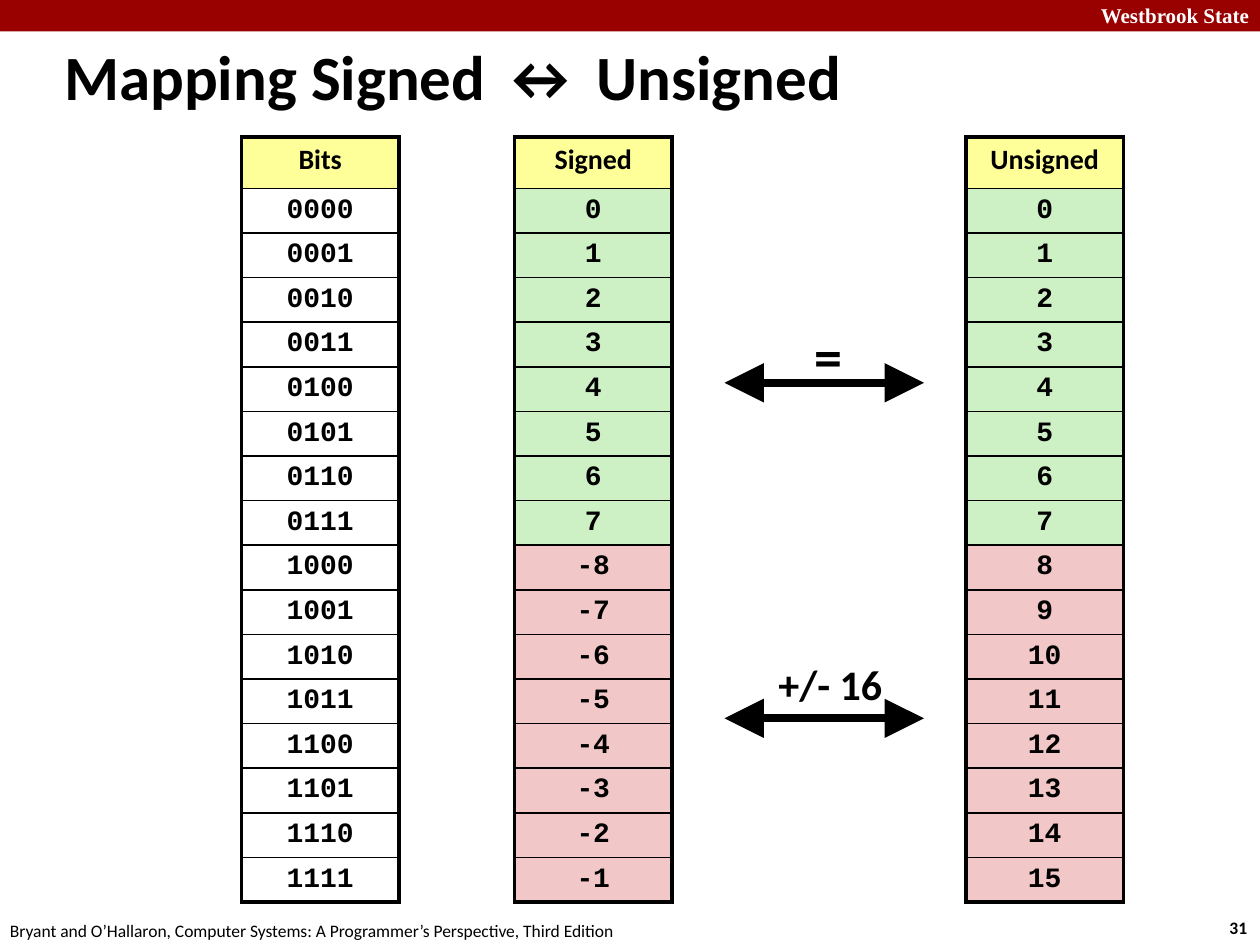
"""Build the slide that maps signed to unsigned four-bit values."""
from lxml.etree import SubElement
from pptx import Presentation
from pptx.dml.color import RGBColor
from pptx.enum.shapes import MSO_CONNECTOR, MSO_SHAPE
from pptx.enum.text import MSO_ANCHOR, MSO_AUTO_SIZE, PP_ALIGN
from pptx.oxml.ns import qn
from pptx.util import Pt

BLACK = RGBColor(0x00, 0x00, 0x00)
WHITE = RGBColor(0xFF, 0xFF, 0xFF)
CRIMSON = RGBColor(0x99, 0x00, 0x00)
YELLOW = RGBColor(0xFF, 0xFF, 0x99)
GREEN = RGBColor(0xCD, 0xF1, 0xC5)
PINK = RGBColor(0xF1, 0xC7, 0xC7)

BITS = 4
COUNT = 2 ** BITS
HALF = COUNT // 2


class SlideBuilder:
    """Hold the style and the current slide."""

    sans, mono, serif = "Calibri", "Courier New", "Times New Roman"
    thin, thick = 1, 2.25
    table_top, column_width = 78.2, 90
    header_height, row_height = 29.5, 25.5

    def __init__(self, slide):
        self.slide = slide

    def run(self, paragraph, text, size, font=None, color=BLACK, bold=True):
        run = paragraph.add_run()
        run.text = text
        run.font.size = Pt(size)
        run.font.name = font or self.sans
        run.font.color.rgb = color
        run.font.bold = bold

    def inset(self, owner, side, end):
        owner.margin_left = owner.margin_right = Pt(side)
        owner.margin_top = owner.margin_bottom = Pt(end)

    def place(self, shape, left, top, width, height):
        shape.left, shape.top = Pt(left), Pt(top)
        shape.width, shape.height = Pt(width), Pt(height)

    def title(self, text):
        heading = self.slide.shapes.title
        self.place(heading, 31.7, 21, 537, 44)
        frame = heading.text_frame
        frame.word_wrap = False
        frame.auto_size = MSO_AUTO_SIZE.NONE
        frame.vertical_anchor = MSO_ANCHOR.MIDDLE
        self.inset(frame, 5, 2.2)
        paragraph = frame.paragraphs[0]
        paragraph.alignment = PP_ALIGN.LEFT
        self.run(paragraph, text, 36)

    def band(self, left, top, width, height, color):
        band = self.slide.shapes.add_shape(
            MSO_SHAPE.RECTANGLE, Pt(left), Pt(top), Pt(width), Pt(height))
        band.shadow.inherit = False
        band.fill.solid()
        band.fill.fore_color.rgb = color
        band.line.fill.background()

    def text(self, box, text, size, align=PP_ALIGN.LEFT,
             anchor=MSO_ANCHOR.TOP, side=7.2, **style):
        frame = self.slide.shapes.add_textbox(*map(Pt, box)).text_frame
        frame.word_wrap = False
        frame.vertical_anchor = anchor
        self.inset(frame, side, 3.6)
        paragraph = frame.paragraphs[0]
        paragraph.alignment = align
        self.run(paragraph, text, size, **style)

    def borders(self, cell, top, bottom):
        properties = cell._tc.get_or_add_tcPr()
        sides = {"lnL": self.thick, "lnR": self.thick, "lnT": top, "lnB": bottom}
        for index, (side, width) in enumerate(sides.items()):
            line = SubElement(properties, qn(f"a:{side}"), w=str(Pt(width)))
            ink = SubElement(line, qn("a:solidFill"))
            SubElement(ink, qn("a:srgbClr"), val=str(BLACK))
            properties.insert(index, line)

    def column(self, left, header, values, fills):
        entries = [(header, YELLOW, self.sans)]
        entries += [(value, fill, self.mono) for value, fill in zip(values, fills)]
        height = self.header_height + self.row_height * len(values)
        table = self.slide.shapes.add_table(
            len(entries), 1, Pt(left), Pt(self.table_top),
            Pt(self.column_width), Pt(height)).table
        table.first_row = table.horz_banding = False
        last = len(entries) - 1
        for index, (value, fill, font) in enumerate(entries):
            table.rows[index].height = Pt(self.row_height if index else self.header_height)
            cell = table.cell(index, 0)
            self.inset(cell, 3.6, 3.6)
            cell.fill.solid()
            cell.fill.fore_color.rgb = fill
            self.borders(cell, self.thin if index else self.thick,
                         self.thick if index == last else self.thin)
            paragraph = cell.text_frame.paragraphs[0]
            paragraph.alignment = PP_ALIGN.CENTER
            paragraph.line_spacing = 0.95
            self.run(paragraph, value, 16, font)

    def double_arrow(self, left, right, y):
        arrow = self.slide.shapes.add_connector(
            MSO_CONNECTOR.STRAIGHT, Pt(right), Pt(y), Pt(left), Pt(y))
        arrow.line.color.rgb = BLACK
        arrow.line.width = Pt(4.5)
        line = arrow.line._get_or_add_ln()
        for end in ("headEnd", "tailEnd"):
            SubElement(line, qn(f"a:{end}"), type="triangle", w="lg", len="lg")
        SubElement(arrow._element.spPr, qn("a:effectLst"))


def main():
    deck = Presentation()
    deck.slide_width, deck.slide_height = Pt(720), Pt(540)
    builder = SlideBuilder(deck.slides.add_slide(deck.slide_layouts[5]))

    builder.band(0, 0, 720, 18, CRIMSON)
    builder.text((622, -2.2, 103, 21.6), "Westbrook State", 12,
                 font=builder.serif, color=WHITE)
    builder.text((695.5, 520.6, 26.6, 19.4), "31", 10)
    builder.text((-1.4, 522, 365.8, 19.4),
                 "Bryant and O’Hallaron, Computer Systems: "
                 "A Programmer’s Perspective, Third Edition", 10, bold=False)
    builder.title("Mapping Signed ↔ Unsigned")

    patterns = [f"{number:0{BITS}b}" for number in range(COUNT)]
    unsigned = [str(number) for number in range(COUNT)]
    signed = [str(number if number < HALF else number - COUNT)
              for number in range(COUNT)]
    halves = [GREEN] * HALF + [PINK] * HALF
    builder.column(294, "Signed", signed, halves)
    builder.column(552, "Unsigned", unsigned, halves)
    builder.column(138, "Bits", patterns, [WHITE] * COUNT)

    for y in (218.75, 410.5):
        builder.double_arrow(414, 528, y)
    builder.text((462, 180, 23, 46), "=", 32, PP_ALIGN.CENTER, side=3.6)
    builder.text((429.5, 372.2, 90, 36.7), "+/- 16", 24, PP_ALIGN.CENTER,
                 MSO_ANCHOR.MIDDLE)

    deck.save("out.pptx")


if __name__ == "__main__":
    main()
